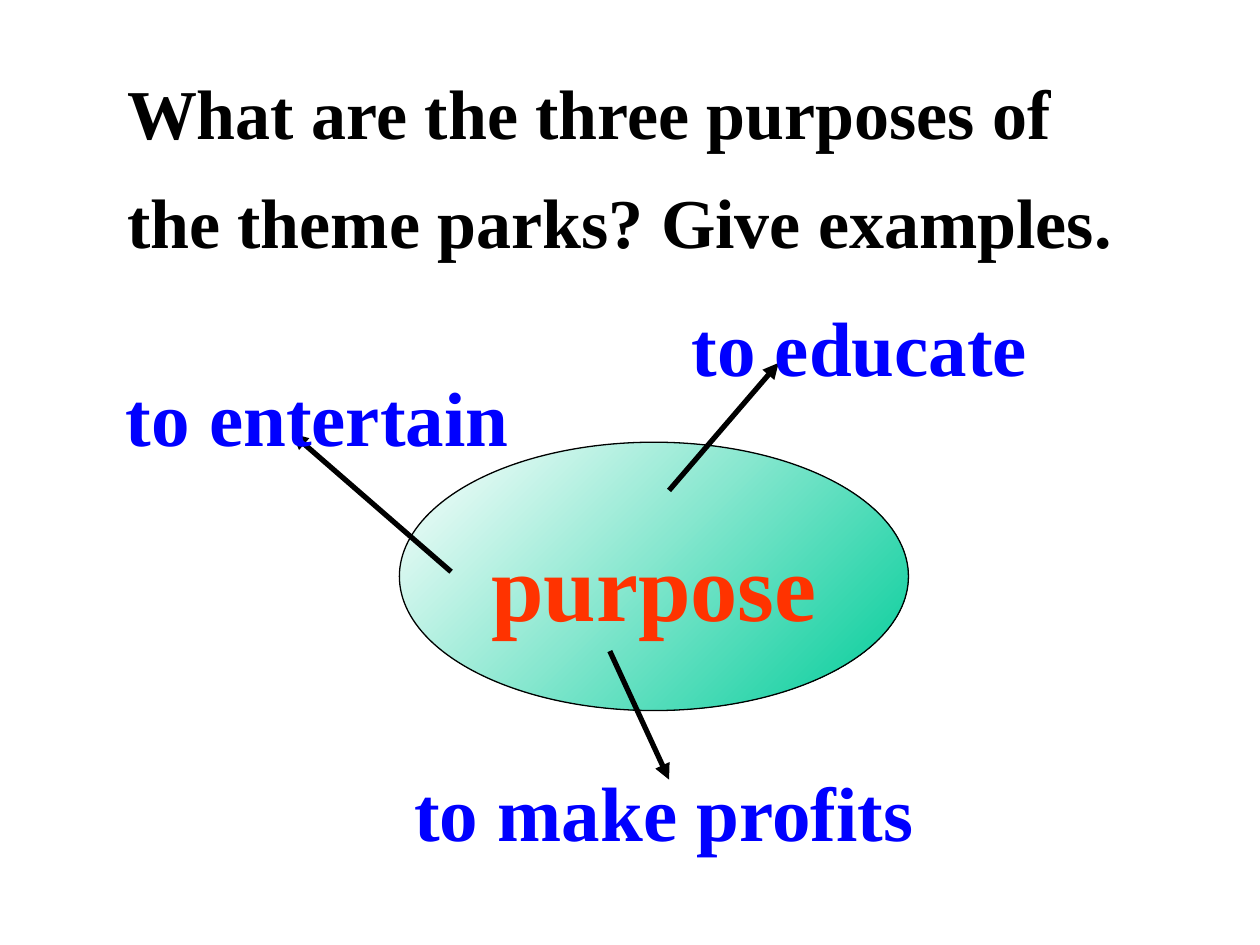
from dataclasses import dataclass

from lxml.etree import SubElement
from pptx import Presentation
from pptx.dml.color import RGBColor
from pptx.enum.shapes import MSO_CONNECTOR, MSO_SHAPE
from pptx.enum.text import MSO_ANCHOR, PP_ALIGN
from pptx.oxml.ns import qn
from pptx.util import Inches, Pt

SLIDE_WIDTH, SLIDE_HEIGHT = Inches(10), Inches(7.5)

# Boxes and points are shares of the slide's width and height.
QUESTION = ["What are the three purposes of", "the theme parks? Give examples."]
QUESTION_BOX = (0.091, 0.067, 0.929, 0.215)
HUB = "purpose"
HUB_BOX = (0.317, 0.468, 0.404, 0.284)
PURPOSES = [
    {"label": "to educate", "box": (0.539, 0.31, 0.35, 0.112),
     "arrow": ((0.531, 0.519), (0.618, 0.384))},
    {"label": "to entertain", "box": (0.09, 0.384, 0.402, 0.112),
     "arrow": ((0.358, 0.605), (0.232, 0.459))},
    {"label": "to make profits", "box": (0.319, 0.803, 0.52, 0.112),
     "arrow": ((0.484, 0.689), (0.531, 0.825))},
]


@dataclass(frozen=True)
class Theme:
    font: str = "Times New Roman"
    ink: RGBColor = RGBColor(0, 0, 0)
    label: RGBColor = RGBColor(0, 0, 0xFF)
    hub_text: RGBColor = RGBColor(0xFF, 0x33, 0)
    hub_light: RGBColor = RGBColor(0xFF, 0xFF, 0xFF)
    hub_deep: RGBColor = RGBColor(0, 0xCC, 0x99)
    question_size: int = 40
    label_size: int = 44
    hub_size: int = 54
    question_gap: float = 14.5
    outline: float = 0.75
    arrow: float = 3


THEME = Theme()


def place(*shares):
    """Turn alternating horizontal and vertical shares into slide lengths."""
    return [round(share * (SLIDE_HEIGHT if i % 2 else SLIDE_WIDTH))
            for i, share in enumerate(shares)]


def write(frame, lines, size, color, gap=0):
    for i, line in enumerate(lines):
        paragraph = frame.add_paragraph() if i else frame.paragraphs[0]
        paragraph.text = line
        if i:
            paragraph.space_before = Pt(gap)
        font = paragraph.font
        font.name, font.size, font.bold = THEME.font, Pt(size), True
        font.color.rgb = color


def add_text(slide, box, lines, size, color, gap=0):
    frame = slide.shapes.add_textbox(*place(*box)).text_frame
    frame.word_wrap = True
    write(frame, lines, size, color, gap)


def add_hub(slide):
    hub = slide.shapes.add_shape(MSO_SHAPE.OVAL, *place(*HUB_BOX))
    hub.shadow.inherit = False
    hub.fill.gradient()
    hub.fill.gradient_angle = 315
    for stop, position, color in zip(hub.fill.gradient_stops, (0, 1),
                                     (THEME.hub_light, THEME.hub_deep)):
        stop.position, stop.color.rgb = position, color
    hub.line.color.rgb = THEME.ink
    hub.line.width = Pt(THEME.outline)
    frame = hub.text_frame
    frame.word_wrap = False
    frame.vertical_anchor = MSO_ANCHOR.MIDDLE
    frame.margin_top = Inches(0.17)
    write(frame, [HUB], THEME.hub_size, THEME.hub_text)
    frame.paragraphs[0].alignment = PP_ALIGN.CENTER


def add_arrow(slide, start, end):
    arrow = slide.shapes.add_connector(MSO_CONNECTOR.STRAIGHT, *place(*start, *end))
    arrow.line.color.rgb = THEME.ink
    arrow.line.width = Pt(THEME.arrow)
    SubElement(arrow.line._get_or_add_ln(), qn("a:tailEnd"), type="triangle")
    SubElement(arrow._element.spPr, qn("a:effectLst"))


def main():
    deck = Presentation()
    deck.slide_width, deck.slide_height = SLIDE_WIDTH, SLIDE_HEIGHT
    slide = deck.slides.add_slide(deck.slide_layouts[6])
    add_hub(slide)
    for purpose in PURPOSES:
        add_arrow(slide, *purpose["arrow"])
        add_text(slide, purpose["box"], [purpose["label"]],
                 THEME.label_size, THEME.label)
    add_text(slide, QUESTION_BOX, QUESTION, THEME.question_size, THEME.ink,
             THEME.question_gap)
    deck.save("out.pptx")


if __name__ == "__main__":
    main()
